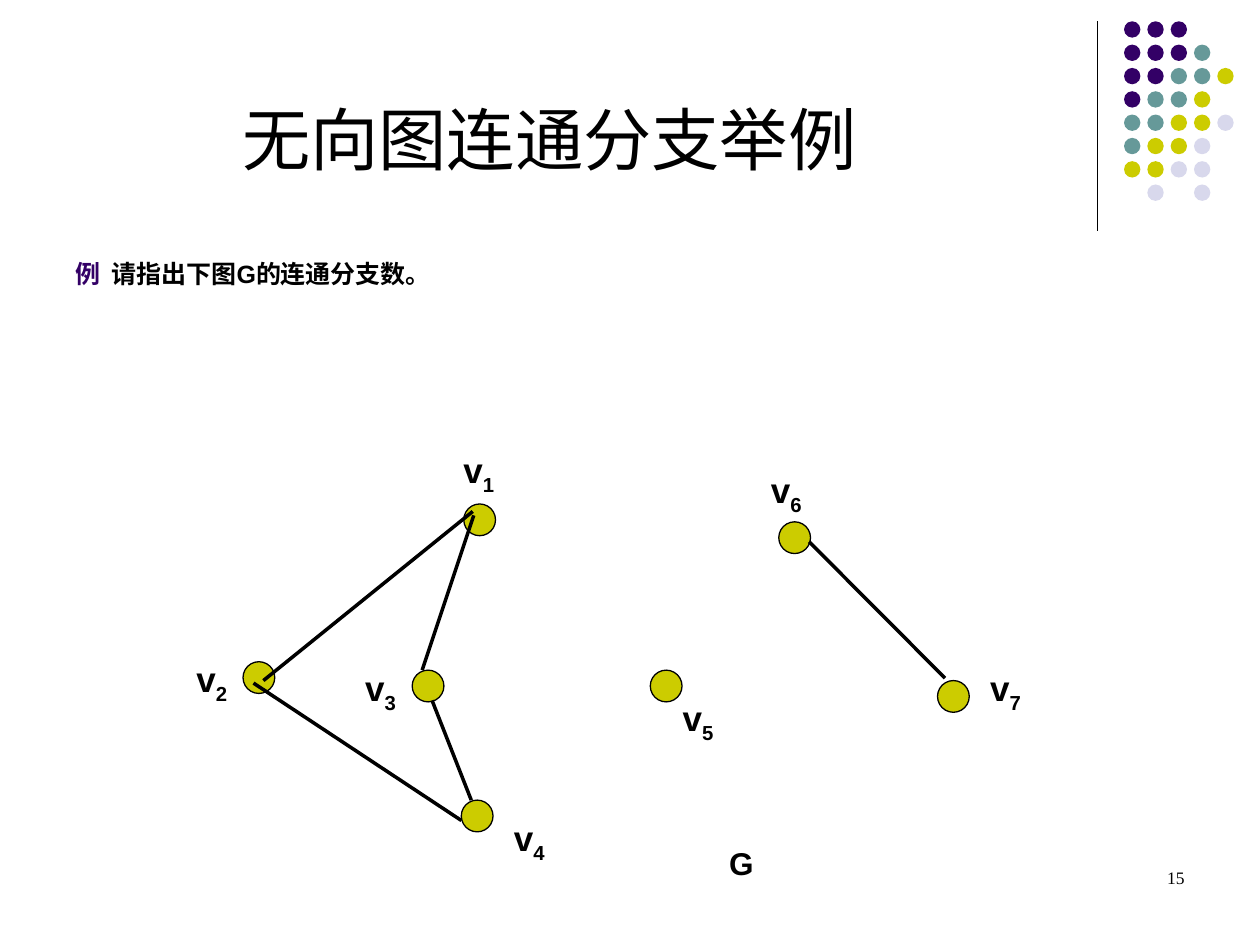
"""Build a slide on the connected components of an undirected graph."""
import pptx
import pptx.util
import pptx.dml.color
import pptx.enum.shapes
import pptx.enum.text
import lxml.etree
from dataclasses import dataclass
from pptx.oxml.ns import qn

Cm = pptx.util.Cm
Pt = pptx.util.Pt
ALIGN = pptx.enum.text.PP_ALIGN
ANCHOR = pptx.enum.text.MSO_ANCHOR


@dataclass(frozen=True)
class Theme:
    ink: str = "000000"
    dark: str = "330066"
    teal: str = "669999"
    lime: str = "CCCC00"
    pale: str = "D8D8EC"
    sans: str = "Arial"
    han: str = "Noto Sans CJK SC"
    serif: str = "Times New Roman"
    title: float = 39
    body: float = 14.3
    label: float = 20
    name: float = 18
    page: float = 10
    thin: float = 0.75
    thick: float = 2


T = Theme()

TITLE = "无向图连通分支举例"
TASK = [("例 ", T.dark), (" 请指出下图G的连通分支数。", T.ink)]
GRAPH = "G"
PAGE = "15"

DOTS = ["DDD", "DDDT", "DDTTL", "DTTL", "TTLLP", "TLLP", "LLPP", " P P"]
HUES = {"D": T.dark, "T": T.teal, "L": T.lime, "P": T.pale}
DOT, STEP, DOT_X, DOT_Y = 0.33, 0.47, 22.66, 0.43
RULE = ((22.12, 0.43), (22.12, 4.65))

NODE = 0.64
NODES = {
    "1": ((9.35, 10.16), (9.09, 8.92)),
    "2": ((4.9, 13.34), (3.71, 13.13)),
    "3": ((8.31, 13.51), (7.11, 13.31)),
    "4": ((9.3, 16.13), (10.11, 16.33)),
    "5": ((13.11, 13.51), (13.51, 13.92)),
    "6": ((15.7, 10.52), (15.29, 9.32)),
    "7": ((18.9, 13.72), (19.71, 13.31)),
}
EDGES = [
    ((8.71, 14.12), (9.5, 16.13)),
    ((8.51, 13.51), (9.55, 10.39)),
    ((5.11, 13.77), (9.3, 16.54)),
    ((5.31, 13.72), (9.53, 10.31)),
    ((16.31, 10.92), (19.05, 13.67)),
]


def tint(hue):
    return pptx.dml.color.RGBColor.from_string(hue)


def add_dot(slide, x, y, size, hue, edge=None):
    oval = pptx.enum.shapes.MSO_SHAPE.OVAL
    dot = slide.shapes.add_shape(oval, Cm(x), Cm(y), Cm(size), Cm(size))
    dot.shadow.inherit = False
    dot.fill.solid()
    dot.fill.fore_color.rgb = tint(hue)
    if edge:
        dot.line.color.rgb = tint(T.ink)
        dot.line.width = Pt(edge)
    else:
        dot.line.fill.background()


def add_line(slide, start, end, width):
    kind = pptx.enum.shapes.MSO_CONNECTOR.STRAIGHT
    line = slide.shapes.add_connector(kind, *map(Cm, start + end))
    line.line.color.rgb = tint(T.ink)
    line.line.width = Pt(width)
    lxml.etree.SubElement(line._element.spPr, qn("a:effectLst"))


def add_box(slide, place, align=ALIGN.LEFT, anchor=ANCHOR.TOP, wrap=True):
    frame = slide.shapes.add_textbox(*map(Cm, place)).text_frame
    frame.word_wrap = wrap
    frame.vertical_anchor = anchor
    para = frame.paragraphs[0]
    para.alignment = align
    return para


def add_run(para, text, size, face=T.sans, hue=T.ink, bold=True):
    run = para.add_run()
    run.text = text
    font = run.font
    font.size = Pt(size)
    font.bold = bold
    font.color.rgb = tint(hue)
    font.name = face
    props = run._r.get_or_add_rPr()
    lxml.etree.SubElement(props, qn("a:ea")).set("typeface", T.han)
    return props


def draw_dots(slide):
    for row, marks in enumerate(DOTS):
        for col, mark in enumerate(marks):
            if mark in HUES:
                add_dot(slide, DOT_X + col * STEP, DOT_Y + row * STEP, DOT, HUES[mark])


def draw_text(slide):
    para = add_box(slide, (1.27, 0.33, 19.61, 3.4), ALIGN.CENTER, ANCHOR.BOTTOM)
    add_run(para, TITLE, T.title, T.han, bold=False)
    para = add_box(slide, (1.27, 5.08, 22.86, 1.75))
    for text, hue in TASK:
        add_run(para, text, T.body, hue=hue)
    para = add_box(slide, (14.45, 16.89, 0.99, 1.02), wrap=False)
    add_run(para, GRAPH, T.name)
    para = add_box(slide, (18.21, 17.35, 5.92, 1.27), ALIGN.RIGHT)
    add_run(para, PAGE, T.page, T.serif, bold=False)


def draw_graph(slide):
    for spot, _ in NODES.values():
        add_dot(slide, *spot, NODE, T.lime, T.thin)
    for start, end in EDGES:
        add_line(slide, start, end, T.thick)
    for num, (_, spot) in NODES.items():
        para = add_box(slide, spot + (1.4, 1.22))
        add_run(para, "v", T.label)
        add_run(para, num, T.label).set("baseline", "-25000")


def main():
    deck = pptx.Presentation()
    deck.slide_width, deck.slide_height = Cm(25.4), Cm(19.05)
    slide = deck.slides.add_slide(deck.slide_layouts[6])
    add_line(slide, *RULE, T.thin)
    draw_dots(slide)
    draw_text(slide)
    draw_graph(slide)
    deck.save("out.pptx")


if __name__ == "__main__":
    main()
